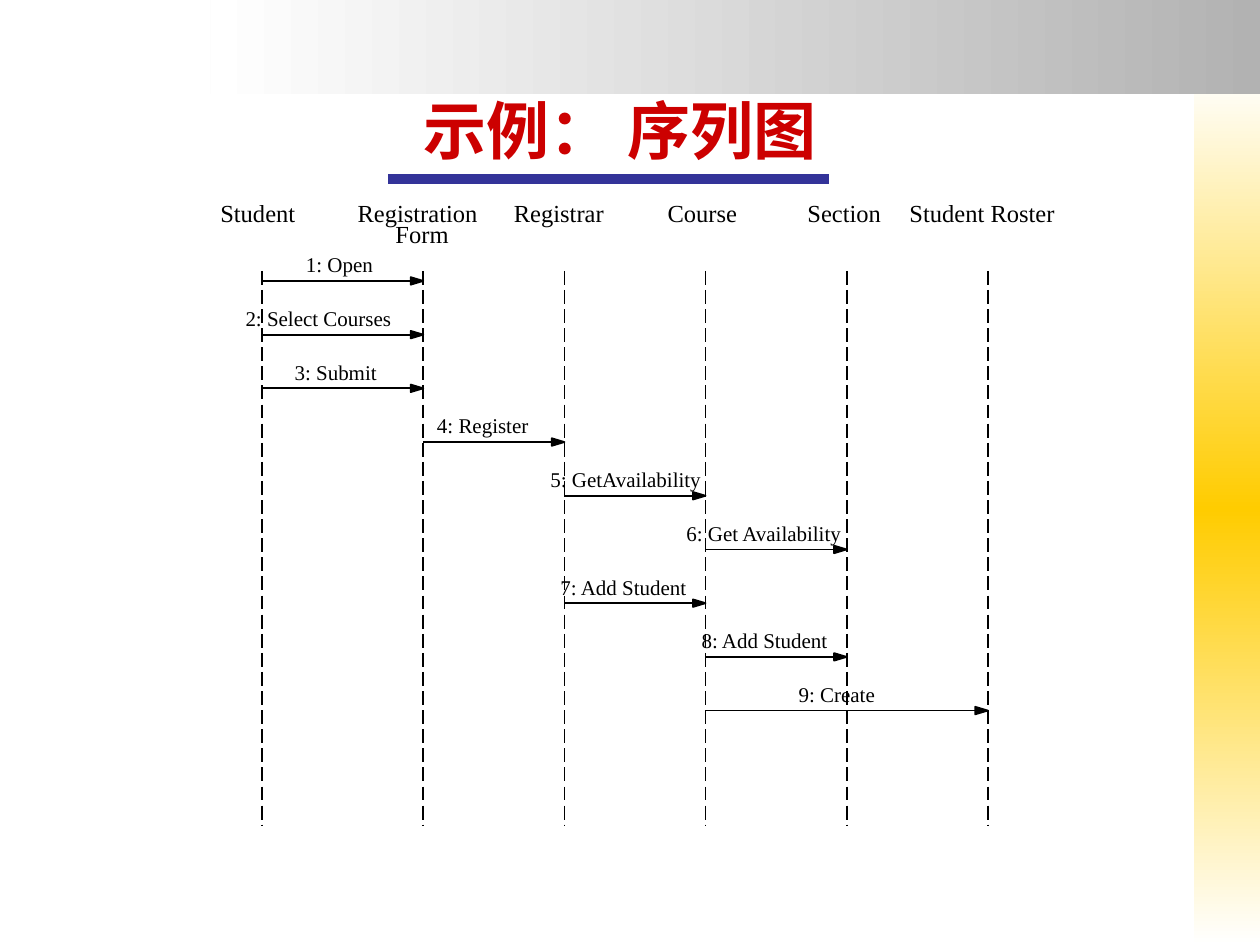
"""Build a slide with a sequence diagram of course registration."""
import lxml.etree
import pptx
import pptx.dml.color
import pptx.enum.dml
import pptx.enum.shapes
import pptx.enum.text
import pptx.oxml
import pptx.oxml.ns
import pptx.util

Inches = pptx.util.Inches
FONT = "Times New Roman"
COLORS = {"ink": "000000", "title": "CC0000", "rule": "333399",
          "white": "FFFFFF", "gold": "FFCC00", "grey": "B2B2B2"}
LIFELINES = [2.08] + [3.36 + 1.12 * i for i in range(5)]
LIFE_TOP, LIFE_BOTTOM = 2.15, 6.55
FIRST_MESSAGE, MESSAGE_STEP = 2.23, 3.41 / 8
HEADINGS = [
    ("Student", 1.65, 1.52, 0.92),
    ("Registration", 2.74, 1.52, 1.33),
    ("Form", 3.04, 1.69, 0.71),
    ("Registrar", 3.98, 1.52, 1.05),
    ("Course", 5.2, 1.52, 0.84),
    ("Section", 6.31, 1.52, 0.88),
    ("Student Roster", 7.12, 1.52, 1.56),
]
MESSAGES = [
    ("1: Open", 0, 1, 2.33, 0.8),
    ("2: Select Courses", 0, 1, 1.85, 1.52),
    ("3: Submit", 0, 1, 2.24, 0.96),
    ("4: Register", 1, 2, 3.37, 1.04),
    ("5: GetAvailability", 2, 3, 4.27, 1.58),
    ("6: Get Availability", 3, 4, 5.35, 1.67),
    ("7: Add Student", 2, 3, 4.35, 1.37),
    ("8: Add Student", 3, 4, 5.47, 1.37),
    ("9: Create", 3, 5, 6.24, 0.91),
]


def rgb(name):
    return pptx.dml.color.RGBColor.from_string(COLORS[name])


def write(tf, text, size, color="ink", bold=False, align=None):
    p = tf.paragraphs[0]
    p.alignment = align
    r = p.add_run()
    r.text = text
    r.font.name = FONT
    r.font.size = pptx.util.Pt(size)
    r.font.bold = bold
    r.font.color.rgb = rgb(color)


def add_label(s, text, left, top, width, height, size):
    sp = s.shapes.add_textbox(*map(Inches, (left, top, width, height)))
    sp.text_frame.word_wrap = True
    write(sp.text_frame, text, size)


def add_line(s, x1, y1, x2, y2, color="ink", width=1, dash=None):
    line = s.shapes.add_connector(pptx.enum.shapes.MSO_CONNECTOR.STRAIGHT,
                                  *map(Inches, (x1, y1, x2, y2)))
    line.line.color.rgb = rgb(color)
    line.line.width = pptx.util.Pt(width)
    if dash:
        line.line.dash_style = dash
    lxml.etree.SubElement(line.element.spPr, pptx.oxml.ns.qn("a:effectLst"))


def add_arrowhead(s, x, y):
    fb = s.shapes.build_freeform(Inches(x), Inches(y))
    fb.add_line_segments([(Inches(x - 0.1), Inches(y + 0.03)),
                          (Inches(x - 0.1), Inches(y - 0.03))], close=True)
    sp = fb.convert_to_shape()
    sp.shadow.inherit = False
    sp.fill.solid()
    sp.fill.fore_color.rgb = rgb("ink")
    sp.line.color.rgb = rgb("ink")
    sp.line.width = pptx.util.Pt(1)


def add_band(s, left, top, width, height, colors, angle):
    sp = s.shapes.add_shape(pptx.enum.shapes.MSO_SHAPE.RECTANGLE,
                            *map(Inches, (left, top, width, height)))
    sp.shadow.inherit = False
    sp.line.fill.background()
    stops = "".join(
        f'<a:gs pos="{100000 * i // (len(colors) - 1)}">'
        f'<a:srgbClr val="{COLORS[c]}"/></a:gs>' for i, c in enumerate(colors))
    grad = pptx.oxml.parse_xml(
        f'<a:gradFill {pptx.oxml.ns.nsdecls("a")} rotWithShape="1">'
        f'<a:gsLst>{stops}</a:gsLst>'
        f'<a:lin ang="{angle * 60000}" scaled="0"/></a:gradFill>')
    sp.element.spPr.find(pptx.oxml.ns.qn("a:prstGeom")).addnext(grad)
    s.shapes.title.element.addprevious(sp.element)


def add_title(s, text):
    sp = s.shapes.title
    sp.left, sp.top, sp.width, sp.height = map(Inches, (0.67, 0.58, 8.5, 0.75))
    tf = sp.text_frame
    tf.margin_left = tf.margin_top = tf.margin_right = tf.margin_bottom = 0
    tf.vertical_anchor = pptx.enum.text.MSO_ANCHOR.BOTTOM
    tf.auto_size = pptx.enum.text.MSO_AUTO_SIZE.NONE
    write(tf, text, 36, color="title", bold=True,
          align=pptx.enum.text.PP_ALIGN.CENTER)
    add_line(s, 3.08, 1.42, 6.58, 1.42, color="rule", width=5.5)


def add_message(s, text, y, start, end, left, width):
    add_line(s, LIFELINES[start], y, LIFELINES[end], y)
    add_arrowhead(s, LIFELINES[end], y)
    add_label(s, text, left, y - 0.28, width, 0.3, 12)


def main():
    prs = pptx.Presentation()
    prs.slide_width, prs.slide_height = Inches(10), Inches(7.5)
    s = prs.slides.add_slide(prs.slide_layouts[5])
    add_band(s, 9.48, 0.58, 0.52, 6.92, ["white", "gold", "white"], 90)
    add_band(s, 1.67, 0, 8.33, 0.75, ["grey", "white"], 180)
    add_title(s, "示例： 序列图")
    for text, left, top, width in HEADINGS:
        add_label(s, text, left, top, width, 0.33, 14)
    for x in LIFELINES:
        add_line(s, x, LIFE_TOP, x, LIFE_BOTTOM,
                 dash=pptx.enum.dml.MSO_LINE.LONG_DASH)
    for i, (text, start, end, left, width) in enumerate(MESSAGES):
        add_message(s, text, FIRST_MESSAGE + i * MESSAGE_STEP,
                    start, end, left, width)
    prs.save("out.pptx")


if __name__ == "__main__":
    main()
